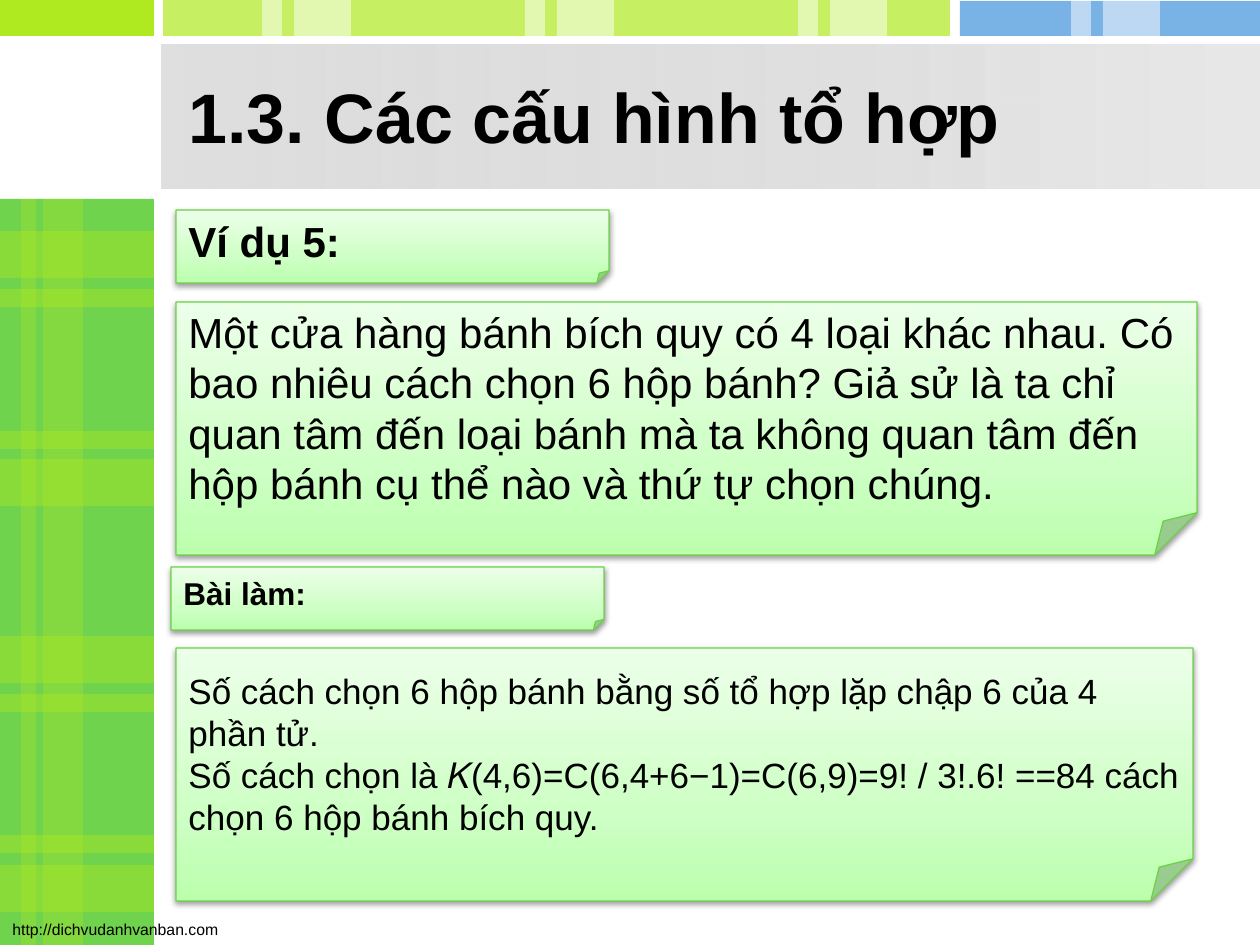
from lxml.etree import SubElement
from pptx import Presentation
from pptx.dml.color import RGBColor
from pptx.enum.shapes import MSO_SHAPE
from pptx.enum.text import MSO_ANCHOR, PP_ALIGN
from pptx.oxml.ns import qn
from pptx.util import Pt

SCALE = 914400 / 126  # EMU in one px
FONT = "Arial"
COLORS = {
    "black": "000000", "white": "FFFFFF", "green": "70D34D", "lime": "AFE91F",
    "blue": "4192DB", "edge": "6CD248", "grey": "C0C0C0", "pale_grey": "E8E8E8",
    "note_bottom": "BBFFAD", "note_middle": "CEFFC5", "note_top": "ECFFE9",
}
NOTE_STOPS = [(0, "note_bottom", 100), (35, "note_middle", 100), (100, "note_top", 100)]
TITLE_STOPS = [(0, "grey", 50), (100, "pale_grey", 100)]


def px(length):
    return round(length * SCALE)


def rgb(name):
    return RGBColor.from_string(COLORS[name])


def add_alpha(color_element, percent):
    if percent < 100:
        SubElement(color_element, qn("a:alpha"), val=str(percent * 1000))


class SlideBuilder:
    def __init__(self, slide):
        self.slide = slide

    def shape(self, kind, left, top, width, height):
        shape = self.slide.shapes.add_shape(kind, px(left), px(top), px(width), px(height))
        shape.shadow.inherit = False
        shape.line.fill.background()
        return shape

    def block(self, left, top, width, height, color, opacity=100):
        shape = self.shape(MSO_SHAPE.RECTANGLE, left, top, width, height)
        shape.fill.solid()
        shape.fill.fore_color.rgb = rgb(color)
        add_alpha(shape._element.spPr.find(".//" + qn("a:srgbClr")), opacity)
        return shape

    def gradient(self, shape, stops, angle):
        shape.fill.gradient()
        shape.fill.gradient_angle = angle
        stop_list = shape._element.spPr.find(".//" + qn("a:gsLst"))
        for stop in list(stop_list):
            stop_list.remove(stop)
        for position, color, opacity in stops:
            stop = SubElement(stop_list, qn("a:gs"), pos=str(position * 1000))
            add_alpha(SubElement(stop, qn("a:srgbClr"), val=COLORS[color]), opacity)

    def soft_shadow(self, shape):
        effects = shape._element.spPr.find(qn("a:effectLst"))
        shadow = SubElement(effects, qn("a:outerShdw"), blurRad="40000", dist="20000",
                            dir="5400000", rotWithShape="0")
        add_alpha(SubElement(shadow, qn("a:srgbClr"), val=COLORS["black"]), 38)

    def add_text(self, frame, paragraphs, size, bold=False, wrap=True):
        frame.word_wrap = wrap
        for index, text in enumerate(paragraphs):
            paragraph = frame.paragraphs[0] if index == 0 else frame.add_paragraph()
            paragraph.alignment = PP_ALIGN.LEFT
            run = paragraph.add_run()
            run.text = text
            run.font.name = FONT
            run.font.size = Pt(size)
            run.font.bold = bold
            run.font.color.rgb = rgb("black")

    def note(self, left, top, width, height, paragraphs, size, bold=False):
        shape = self.shape(MSO_SHAPE.FOLDED_CORNER, left, top, width, height)
        self.gradient(shape, NOTE_STOPS, 90)
        shape.line.color.rgb = rgb("edge")
        shape.line.width = Pt(0.75)
        self.soft_shadow(shape)
        shape.text_frame.vertical_anchor = MSO_ANCHOR.MIDDLE
        self.add_text(shape.text_frame, paragraphs, size, bold)

    def label(self, left, top, width, height, text, size):
        box = self.slide.shapes.add_textbox(px(left), px(top), px(width), px(height))
        self.add_text(box.text_frame, [text], size, wrap=False)

    def title(self, left, top, width, height, text, size):
        title = self.slide.shapes.title
        title.left, title.top, title.width, title.height = map(px, (left, top, width, height))
        title.text_frame.vertical_anchor = MSO_ANCHOR.MIDDLE
        self.add_text(title.text_frame, [text], size, bold=True)
        # Bring the title in front of its grey band
        self.slide.shapes._spTree.append(title._element)


def main():
    presentation = Presentation()
    presentation.slide_width, presentation.slide_height = px(1260), px(945)
    builder = SlideBuilder(presentation.slides.add_slide(presentation.slide_layouts[5]))

    # Sidebar and top strip
    builder.block(0, 199, 154, 746, "green")
    builder.block(0, 0, 154, 36, "lime")
    builder.block(163, 0, 787, 36, "lime", 70)
    builder.block(960, 1, 300, 35, "blue", 70)

    # Plaid of the sidebar: wide and narrow bands, then vertical stripes
    for wide_top, narrow_top in [(231, 289), (459, 431), (636, 694), (865, 835)]:
        builder.block(0, wide_top, 154, 47, "lime", 40)
        builder.block(0, narrow_top, 154, 18, "lime", 40)
    for top, height, opacity in [(199, 746, 30), (0, 36, 50)]:
        builder.block(21, top, 15, height, "lime", opacity)
        builder.block(43, top, 40, height, "lime", opacity)

    # Light stripes across the top strip
    for left in (262, 525, 798, 1071):
        builder.block(left, 0, 20, 39, "white", 50)
        builder.block(left + 32, 0, 57, 39, "white", 50)

    # Title band, footer and title
    band = builder.block(162, 45, 1098, 144, "grey")
    builder.gradient(band, TITLE_STOPS, 0)
    builder.label(0, 914, 233, 31, "http://dichvudanhvanban.com", 9)
    builder.title(176, 63, 895, 105, "1.3. Các cấu hình tổ hợp", 40)

    # Example and solution
    builder.note(176, 210, 433, 73, ["Ví dụ 5:"], 24, bold=True)
    builder.note(176, 302, 1021, 253, [
        "Một cửa hàng bánh bích quy có 4 loại khác nhau. Có bao nhiêu cách chọn 6 hộp bánh? "
        "Giả sử là ta chỉ quan tâm đến loại bánh mà ta không quan tâm đến hộp bánh cụ thể "
        "nào và thứ tự chọn chúng."], 24)
    builder.note(171, 567, 433, 63, ["Bài làm:"], 18, bold=True)
    builder.note(176, 648, 1017, 253, [
        "Số cách chọn 6 hộp bánh bằng số tổ hợp lặp chập 6 của 4 phần tử.",
        "Số cách chọn là 𝐾(4,6)=C(6,4+6−1)=C(6,9)=9! / 3!.6! ==84 cách chọn 6 hộp bánh "
        "bích quy."], 20)

    presentation.save("out.pptx")


if __name__ == "__main__":
    main()
